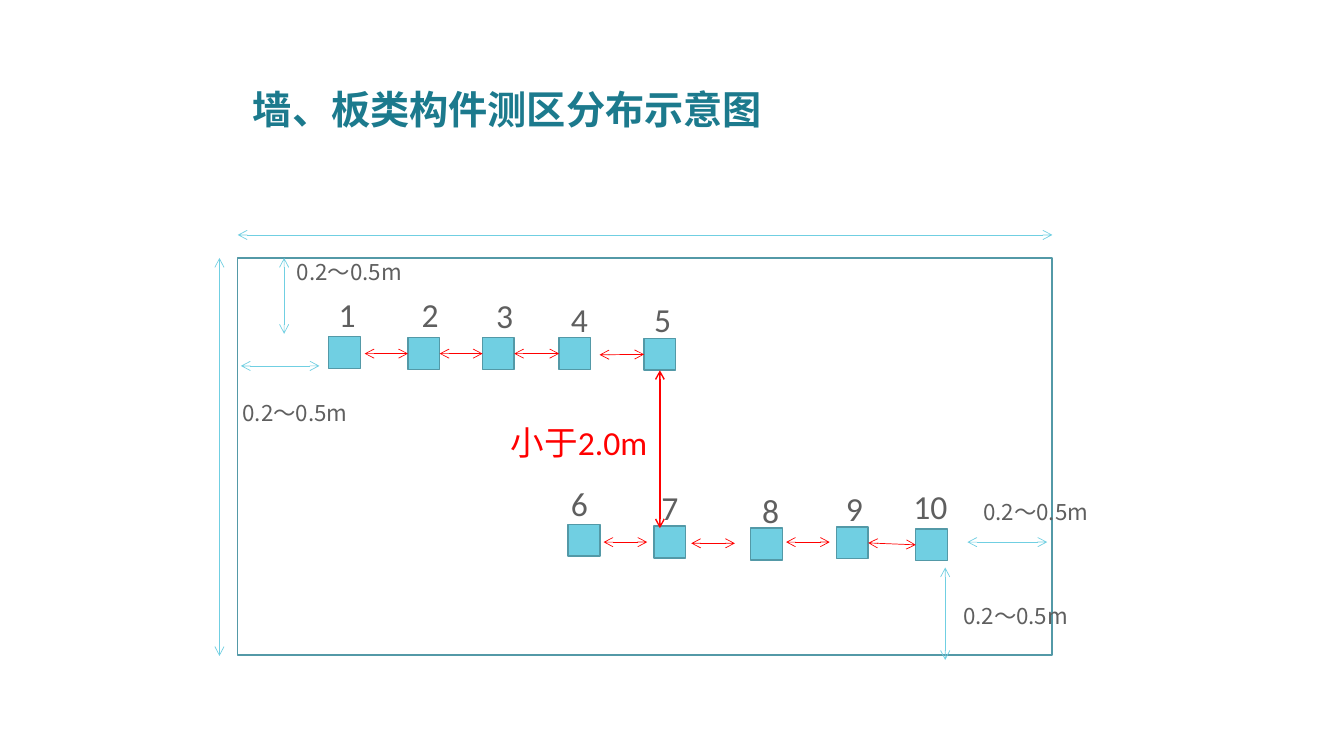
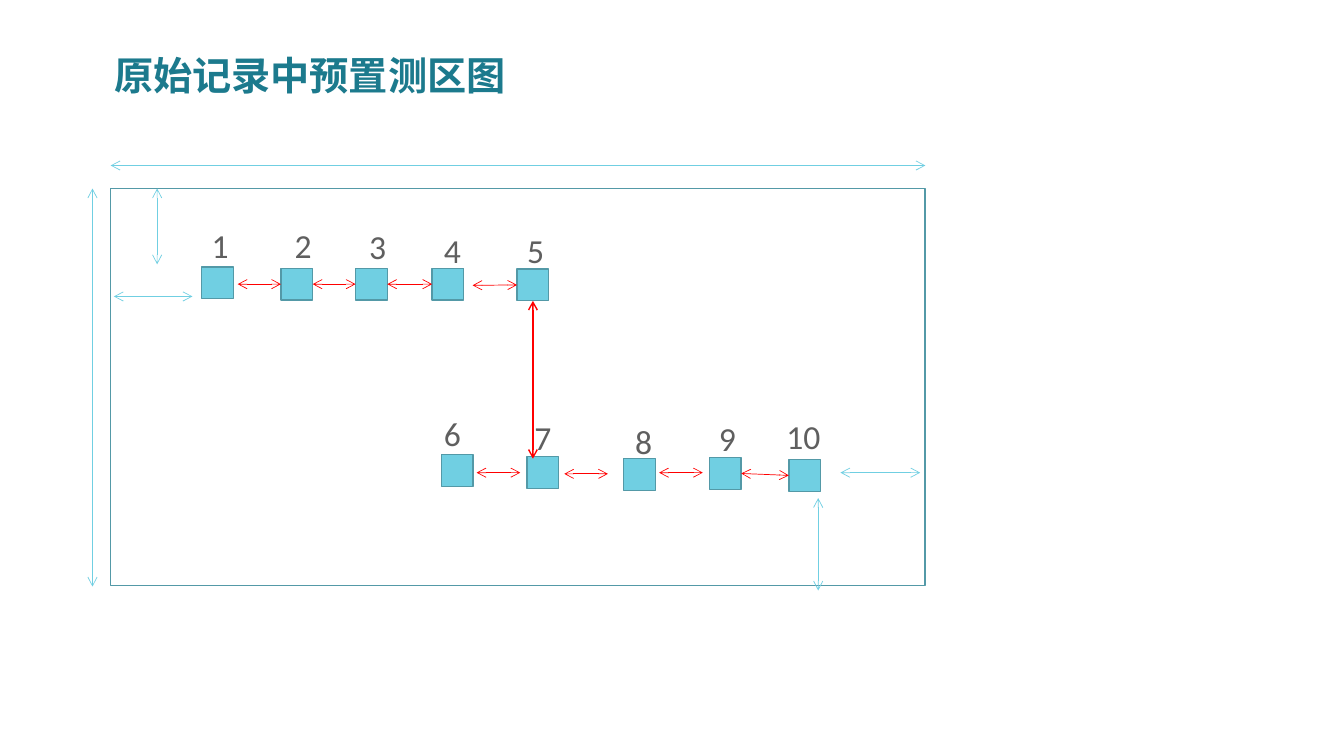
import pptx
import pptx.util
import pptx.dml.color
import pptx.enum.shapes
import pptx.enum.text
import pptx.oxml
import pptx.oxml.ns
from lxml import etree

Cm = pptx.util.Cm
Pt = pptx.util.Pt
PP_ALIGN = pptx.enum.text.PP_ALIGN
MSO_SHAPE = pptx.enum.shapes.MSO_SHAPE
MSO_ANCHOR = pptx.enum.text.MSO_ANCHOR
TOP, LEFT, BOTTOM, RIGHT = range(4)

# Shared style
COLORS = {"title": "1C7A8D", "outline": "5399A7", "zone": "70CFE2",
          "text": "5F5F5F", "accent": "FF0000"}
CJK_FONT = "Noto Sans CJK SC"
STYLES = {
    "title": ({"size": Pt(28), "bold": True, "name": CJK_FONT}, "title"),
    "number": ({"size": Pt(24), "bold": False, "name": "Calibri"}, "text"),
    "margin": ({"size": Pt(16), "bold": False, "name": CJK_FONT}, "text"),
    "spacing": ({"size": Pt(24), "bold": False, "name": "Calibri"}, "accent"),
}

# Slides: title, title box, wall corner, grouped, with notes (all lengths in cm)
SLIDES = [
    {"title": "墙、板类构件测区分布示意图", "title_box": (6.12, 1.73, 22.02, 2.16),
     "wall": (5.99, 6.5), "grouped": False, "noted": True},
    {"title": "原始记录中预置测区图", "title_box": (2.62, 0.89, 10.82, 2.16),
     "wall": (2.79, 4.75), "grouped": True, "noted": False},
]

# Diagram, measured from the wall's top left corner
WALL_SIZE = (20.52, 10.01)
ZONE_SIZE = 0.8
DIGIT_WIDTH = 0.7
GAP_LENGTH = 1.1
ZONES = {  # number: (zone corner, number corner)
    1: ((2.29, 1.98), (2.41, 0.79)),
    2: ((4.29, 2.01), (4.5, 0.79)),
    3: ((6.17, 2.01), (6.38, 0.81)),
    4: ((8.1, 2.01), (8.26, 0.91)),
    5: ((10.24, 2.03), (10.36, 0.92)),
    6: ((8.33, 6.71), (8.26, 5.54)),
    7: ((10.49, 6.76), (10.54, 5.64)),
    8: ((12.93, 6.81), (13.08, 5.72)),
    9: ((15.09, 6.78), (15.19, 5.66)),
    10: ((17.09, 6.83), (16.76, 5.61)),
}
GAPS = [  # left end, zone joined on the left, zone joined on the right
    ((3.2, 2.41), None, 2),
    ((5.05, 2.46), 2, 3),
    ((6.96, 2.44), 3, 4),
    ((9.12, 2.44), None, 5),
    ((9.22, 7.16), None, None),
    ((11.43, 7.19), None, None),
    ((13.82, 7.16), None, None),
    ((15.9, 7.24), 9, 10),
]
ROW_ARROW = ((10.64, 2.82), (10.64, 6.81))
DIMENSIONS = [
    ((0, -0.58), (20.53, -0.58)),
    ((-0.46, 10.03), (-0.46, 0)),
    ((0.08, 2.72), (2.06, 2.72)),
    ((18.39, 7.16), (20.4, 7.16)),
    ((1.17, 1.91), (1.17, 0)),
    ((17.83, 10.13), (17.83, 7.8)),
]
MARGIN_TEXT = "0.2～0.5m"
NOTES = [
    (MARGIN_TEXT, "margin", (-0.13, 3.43, 5.77, 0.97)),
    (MARGIN_TEXT, "margin", (1.24, -0.13, 4.75, 0.94)),
    (MARGIN_TEXT, "margin", (18.03, 8.56, 3.61, 0.79)),
    (MARGIN_TEXT, "margin", (18.54, 5.94, 5.56, 0.89)),
    ("小于2.0m", "spacing", (6.63, 4.01, 5, 1.27)),
]


def color(key):
    return pptx.dml.color.RGBColor.from_string(COLORS[key])


def apply(target, values):
    for name, value in values.items():
        setattr(target, name, value)


def write(shape, text, style, frame_format, alignment=PP_ALIGN.LEFT):
    apply(shape.text_frame, frame_format)
    paragraph = shape.text_frame.paragraphs[0]
    paragraph.alignment = alignment
    run = paragraph.add_run()
    run.text = text
    font_format, color_key = STYLES[style]
    apply(run.font, font_format)
    run.font.color.rgb = color(color_key)
    east_asian = etree.SubElement(run.font._element, pptx.oxml.ns.qn("a:ea"))
    east_asian.set("typeface", CJK_FONT)
    return paragraph


class Diagram:
    """Draws on one slide, taking positions from the wall corner."""

    def __init__(self, shapes, corner):
        self.shapes = shapes
        self.corner = corner

    def point(self, position):
        return [Cm(start + offset) for start, offset in zip(self.corner, position)]

    def rectangle(self, position, width, height, fill=None):
        shape = self.shapes.add_shape(MSO_SHAPE.RECTANGLE, *self.point(position),
                                      Cm(width), Cm(height))
        shape.shadow.inherit = False
        if fill:
            shape.fill.solid()
            shape.fill.fore_color.rgb = color(fill)
        else:
            shape.fill.background()
        shape.line.color.rgb = color("outline")
        shape.line.width = Pt(1)
        return shape

    def text(self, text, style, box, frame_format, alignment=PP_ALIGN.LEFT):
        shape = self.shapes.add_textbox(*self.point(box[:2]), Cm(box[2]), Cm(box[3]))
        write(shape, text, style, frame_format, alignment)

    def arrow(self, start, end, color_key, width=0.5):
        connector = self.shapes.add_connector(
            pptx.enum.shapes.MSO_CONNECTOR.STRAIGHT, *self.point(start), *self.point(end))
        connector.line.color.rgb = color(color_key)
        connector.line.width = Pt(width)
        line = connector.line._get_or_add_ln()
        for tag in ("a:headEnd", "a:tailEnd"):
            etree.SubElement(line, pptx.oxml.ns.qn(tag)).set("type", "arrow")
        etree.SubElement(connector._element.spPr, pptx.oxml.ns.qn("a:effectLst"))
        return connector


def draw_diagram(shapes, corner, noted):
    diagram = Diagram(shapes, corner)
    diagram.rectangle((0, 0), *WALL_SIZE)

    # Test zones and their numbers
    zones = {}
    for number, (zone_corner, number_corner) in ZONES.items():
        zones[number] = diagram.rectangle(zone_corner, ZONE_SIZE, ZONE_SIZE, "zone")
        digits = str(number)
        diagram.text(digits, "number", (*number_corner, DIGIT_WIDTH * len(digits), 1.02),
                     {"word_wrap": False, "margin_left": 0, "margin_right": 0},
                     PP_ALIGN.CENTER)

    # Dimension arrows
    for start, end in DIMENSIONS:
        diagram.arrow(start, end, "zone")

    # Arrows between zones and between the two rows
    for (x, y), left_zone, right_zone in GAPS:
        connector = diagram.arrow((x, y), (x + GAP_LENGTH, y), "accent")
        if left_zone:
            connector.begin_connect(zones[left_zone], RIGHT)
        if right_zone:
            connector.end_connect(zones[right_zone], LEFT)
    row_arrow = diagram.arrow(*ROW_ARROW, "accent", 1)
    row_arrow.begin_connect(zones[5], BOTTOM)

    # Distance notes
    if noted:
        for text, style, box in NOTES:
            diagram.text(text, style, box, {"word_wrap": True})


def add_title(slide, text, box):
    title = slide.shapes.title
    apply(title, dict(zip(("left", "top", "width", "height"), map(Cm, box))))
    paragraph = write(title, text, "title", {
        "word_wrap": True, "vertical_anchor": MSO_ANCHOR.MIDDLE,
        "auto_size": pptx.enum.text.MSO_AUTO_SIZE.NONE})
    paragraph.line_spacing = 0.9


def main():
    presentation = pptx.Presentation()
    presentation.slide_width = Cm(33.87)
    presentation.slide_height = Cm(19.05)
    for content in SLIDES:
        slide = presentation.slides.add_slide(presentation.slide_layouts[5])
        add_title(slide, content["title"], content["title_box"])
        shapes = slide.shapes
        if content["grouped"]:
            shapes = shapes.add_group_shape().shapes
        draw_diagram(shapes, content["wall"], content["noted"])
    presentation.save("out.pptx")


if __name__ == "__main__":
    main()
